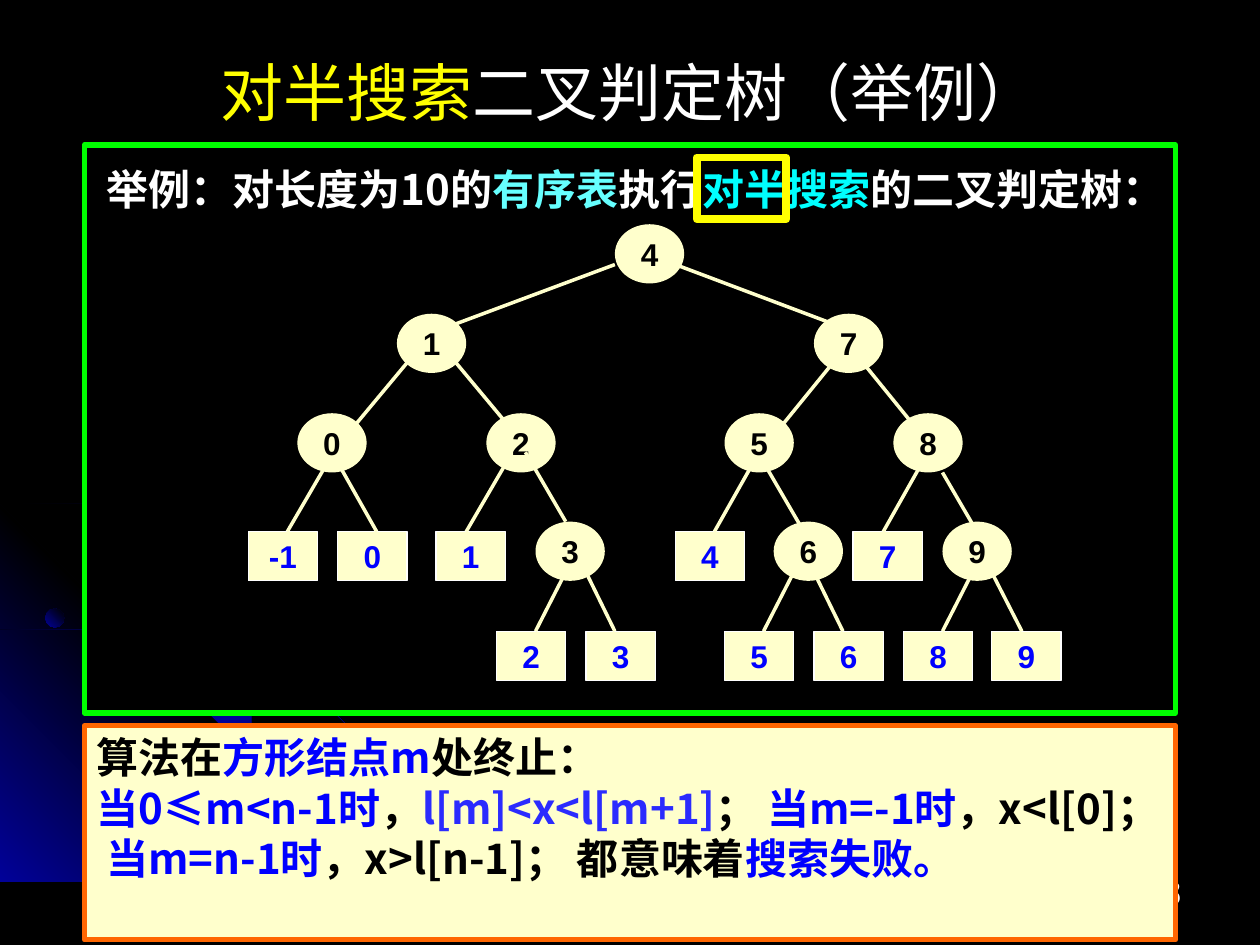
import pptx
import pptx.util
import pptx.dml.color
import pptx.enum.shapes
import pptx.enum.text
import pptx.oxml
import pptx.oxml.ns

Inches = pptx.util.Inches
SHAPE = pptx.enum.shapes.MSO_SHAPE
ALIGN = pptx.enum.text.PP_ALIGN
ANCHOR = pptx.enum.text.MSO_ANCHOR
HAN = "Noto Sans CJK SC"
BLACK, WHITE, CREAM, BLUE = "000000", "FFFFFF", "FFFFCC", "0000FF"
NAVY = "010199"

# Tree places are measured from the top left of the green panel.
ROUND = {0.63: [("4", 4.21)],
         1.34: [("1", 2.48), ("7", 5.79)],
         2.13: [("0", 1.69), ("2", 3.19), ("5", 5.08), ("8", 6.42)],
         2.99: [("3", 3.58), ("6", 5.47), ("9", 6.81)]}
SQUARE = {3.07: [("-1", 1.3), ("0", 2.01), ("1", 2.79), ("4", 4.69), ("7", 6.1)],
          3.86: [("2", 3.27), ("3", 3.98), ("5", 5.08), ("6", 5.79),
                 ("8", 6.5), ("9", 7.2)]}
EDGES = {(0.95, 1.42): [(4.21, 2.95), (4.69, 5.94)],
         (1.73, 2.21): [(2.56, 2.16), (2.95, 3.35), (5.94, 5.55), (6.18, 6.57)],
         (2.52, 3.07): [(1.93, 1.61), (2.01, 2.32), (3.35, 3.03),
                        (5.31, 5), (5.39, 5.71), (6.65, 6.34)],
         (2.44, 2.99): [(3.5, 3.82)],
         (2.6, 3.15): [(6.81, 7.13)],
         (3.39, 3.86): [(3.82, 3.58), (3.98, 4.21), (5.63, 5.39),
                        (5.79, 6.02), (7.05, 6.81), (7.2, 7.44)]}

ARCS = [
    [(0.57, 4.47), (0.28, 4.41), (0, 4.35), (0, 4.38), (0.28, 4.43), (0.56, 4.49),
     (0.97, 4.61), (1.35, 4.78), (1.73, 4.99), (2.08, 5.23), (2.41, 5.49),
     (2.71, 5.79), (2.98, 6.12), (3.23, 6.49), (3.37, 6.73), (3.5, 6.98),
     (3.6, 7.23), (3.7, 7.49), (3.72, 7.49), (3.62, 7.23), (3.52, 6.98),
     (3.39, 6.73), (3.25, 6.48), (3, 6.11), (2.72, 5.78), (2.42, 5.48),
     (2.09, 5.21), (1.74, 4.97), (1.36, 4.77), (0.98, 4.59)],
    [(2.85, 7.14), (2.94, 7.32), (3.01, 7.49), (3.03, 7.49), (2.96, 7.3),
     (2.86, 7.12), (2.66, 6.76), (2.42, 6.4), (2.15, 6.06), (1.84, 5.76),
     (1.52, 5.49), (1.17, 5.26), (0.79, 5.05), (0.41, 4.88), (0, 4.75),
     (0, 4.77), (0.39, 4.9), (0.77, 5.07), (1.15, 5.28), (1.5, 5.51),
     (1.83, 5.78), (2.13, 6.08), (2.4, 6.42), (2.65, 6.77)],
    [(0, 4.42), (0, 4.44), (0.36, 4.57), (0.74, 4.75), (1.09, 4.94), (1.42, 5.18),
     (1.73, 5.44), (2.02, 5.75), (2.27, 6.05), (2.52, 6.41), (2.67, 6.67),
     (2.8, 6.94), (2.92, 7.22), (3.01, 7.49), (3.03, 7.49), (2.94, 7.2),
     (2.82, 6.93), (2.69, 6.65), (2.54, 6.39), (2.29, 6.03), (2.04, 5.73),
     (1.75, 5.43), (1.44, 5.16), (1.11, 4.93), (0.76, 4.73), (0.39, 4.55)]]


def rgb(code):
    return pptx.dml.color.RGBColor.from_string(code)


def write(para, text, size=24, color=BLACK, bold=True, font=HAN):
    run = para.add_run()
    run.text = text
    run.font.size = pptx.util.Pt(size)
    run.font.bold = bold
    run.font.name = font
    run.font.color.rgb = rgb(color)
    east = run.font._element.makeelement(pptx.oxml.ns.qn("a:ea"), {"typeface": HAN})
    run.font._element.find(pptx.oxml.ns.qn("a:latin")).addnext(east)


def write_runs(para, runs, **form):
    for text, color in runs:
        write(para, text, color=color, **form)


def draw(slide, kind, box, fill=None, line=None, width=1):
    shape = slide.shapes.add_shape(kind, *map(Inches, box))
    shape.shadow.inherit = False
    if fill:
        shape.fill.solid()
        shape.fill.fore_color.rgb = rgb(fill)
    else:
        shape.fill.background()
    if line:
        shape.line.color.rgb = rgb(line)
        shape.line.width = pptx.util.Pt(width)
    else:
        shape.line.fill.background()
    return shape


def blend(shape, colors, angle):
    """Fill with evenly spaced gradient stops and no outline."""
    shape.shadow.inherit = False
    shape.line.fill.background()
    shape.fill.gradient()
    grad = shape._element.spPr.find(pptx.oxml.ns.qn("a:gradFill"))
    step = 100000 // (len(colors) - 1)
    stops = "".join(f'<a:gs pos="{i * step}"><a:srgbClr val="{color}"/></a:gs>'
                    for i, color in enumerate(colors))
    grad.getparent().replace(grad, pptx.oxml.parse_xml(
        f'<a:gradFill {pptx.oxml.ns.nsdecls("a")} rotWithShape="1">'
        f'<a:gsLst>{stops}</a:gsLst><a:lin ang="{angle * 60000}" scaled="0"/>'
        '</a:gradFill>'))


def trace(slide, points, colors, angle):
    form = slide.shapes.build_freeform(*points[0], scale=Inches(1))
    form.add_line_segments(points[1:], close=True)
    blend(form.convert_to_shape(), colors, angle)


def add_decor(slide):
    glow = [BLACK, NAVY, BLACK]
    trace(slide, ARCS[0], glow, 45)
    trace(slide, [(3.22, 7.49), (0, 7.49), (0, 4.27)], [NAVY, BLACK, NAVY], 315)
    for arc in ARCS[1:]:
        trace(slide, arc, glow, 45)
    blend(draw(slide, SHAPE.OVAL, (0.36, 4.83, 0.15, 0.15)), [NAVY, BLACK], 315)


def add_text(slide, box):
    frame = slide.shapes.add_textbox(*map(Inches, box)).text_frame
    frame.word_wrap = True
    return frame.paragraphs[0]


def add_number(slide, box):
    para = add_text(slide, box)
    para.alignment = ALIGN.RIGHT
    write(para, "ch5.43", size=20, color=WHITE, bold=False, font="Comic Neue")


def add_title(slide, box):
    title = slide.shapes.title
    title.left, title.top, title.width, title.height = map(Inches, box)
    title.text_frame.vertical_anchor = ANCHOR.MIDDLE
    para = title.text_frame.paragraphs[0]
    para.alignment = ALIGN.CENTER
    write_runs(para, [("对半搜索", "FFFF00"), ("二叉判定树（举例）", WHITE)],
               size=36, bold=False, font="Arial")


def add_nodes(slide, left, top, rows, kind, height, color, line=None):
    for y, row in rows.items():
        for text, x in row:
            node = draw(slide, kind, (left + x, top + y, 0.55, height),
                        CREAM, line, 0.75)
            frame = node.text_frame
            frame.word_wrap = False
            frame.vertical_anchor = ANCHOR.MIDDLE
            para = frame.paragraphs[0]
            para.alignment = ALIGN.CENTER
            write(para, text, size=18, color=color, font="Arial")


def add_edges(slide, left, top):
    for (start, end), row in EDGES.items():
        for x1, x2 in row:
            edge = slide.shapes.add_connector(
                pptx.enum.shapes.MSO_CONNECTOR.STRAIGHT,
                Inches(left + x1), Inches(top + start),
                Inches(left + x2), Inches(top + end))
            edge.line.color.rgb = rgb(CREAM)
            edge.line.width = pptx.util.Pt(2)
            pptx.oxml.ns.qn("a:effectLst")
            props = edge._element.spPr
            props.append(props.makeelement(pptx.oxml.ns.qn("a:effectLst"), {}))


def add_tree(slide, box):
    left, top, width, _ = box
    draw(slide, SHAPE.RECTANGLE, box, BLACK, "00FF00", 3)
    add_nodes(slide, left, top, ROUND, SHAPE.OVAL, 0.47, BLACK)
    add_nodes(slide, left, top, SQUARE, SHAPE.RECTANGLE, 0.39, BLUE, WHITE)
    add_edges(slide, left, top)
    para = add_text(slide, (left + 0.08, top + 0.1, width - 0.23, 0.5))
    write_runs(para, [("举例：对长度为10的", WHITE), ("有序表", "66FFFF"),
                      ("执行", WHITE), ("对半搜索", "00FFFF"),
                      ("的二叉判定树：", WHITE)])


def add_note(slide, box):
    frame = draw(slide, SHAPE.RECTANGLE, box, CREAM, "FF6600", 3).text_frame
    frame.word_wrap = True
    frame.vertical_anchor = ANCHOR.TOP
    first, second = frame.paragraphs[0], frame.add_paragraph()
    first.alignment = second.alignment = ALIGN.LEFT
    write_runs(first, [("算法在", BLACK), ("方形结点m", BLUE), ("处终止：", BLACK)])
    write_runs(second, [("当0≤m<n-1时", BLUE), ("，", BLACK),
                        ("l[m]<x<l[m+1]", "2B2BFE"), ("； ", BLACK),
                        ("当m=-1时", BLUE), ("，x<l[0]；  ", BLACK),
                        ("当m=n-1时", BLUE), ("，x>l[n-1]； 都意味着", BLACK),
                        ("搜索失败。", BLUE)])


def main():
    deck = pptx.Presentation()
    deck.slide_width, deck.slide_height = Inches(10), Inches(7.5)
    slide = deck.slides.add_slide(deck.slide_layouts[5])
    slide.background.fill.solid()
    slide.background.fill.fore_color.rgb = rgb(BLACK)
    add_decor(slide)
    add_number(slide, (7.2, 6.86, 2.28, 0.44))
    add_title(slide, (0.5, 0.3, 9, 0.85))
    add_tree(slide, (0.67, 1.15, 8.66, 4.51))
    add_note(slide, (0.67, 5.76, 8.66, 1.7))
    draw(slide, SHAPE.RECTANGLE, (5.53, 1.25, 0.71, 0.49), line="FFFF00", width=4.5)
    deck.save("out.pptx")


if __name__ == "__main__":
    main()
